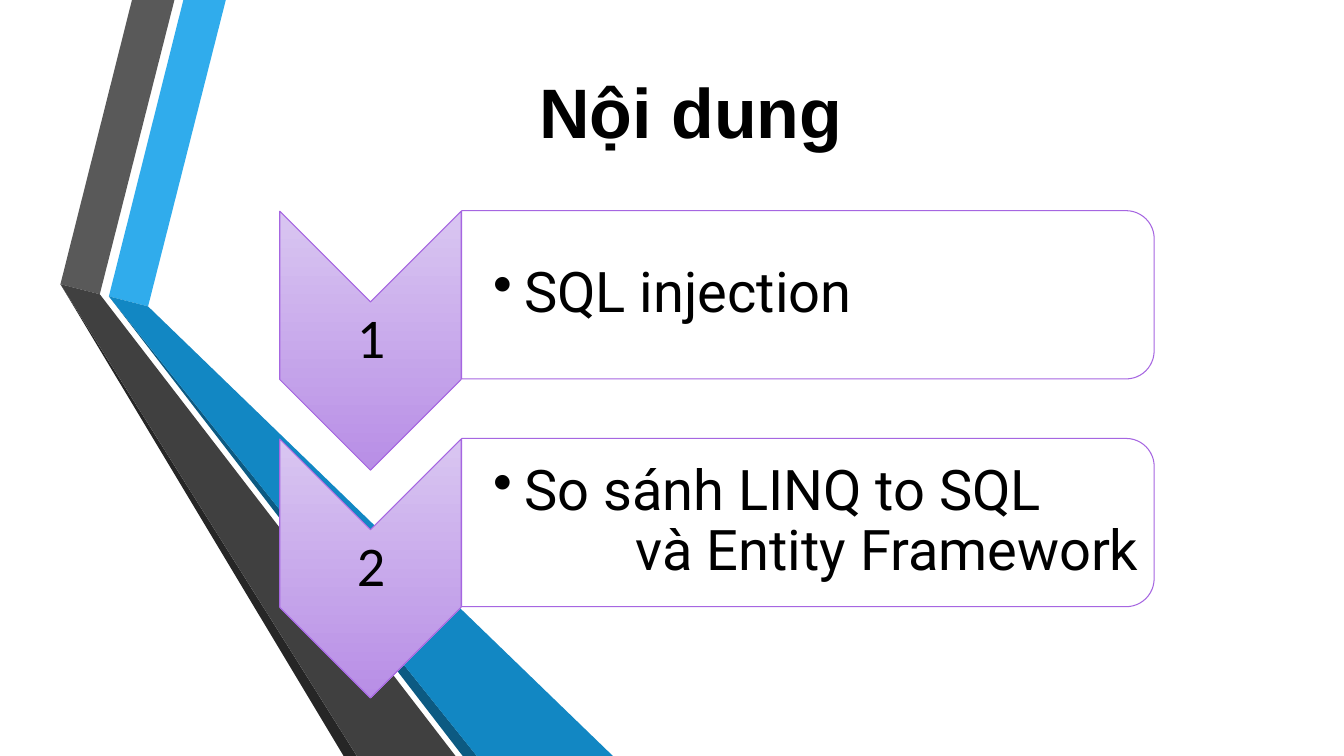
from dataclasses import dataclass

from lxml.etree import SubElement
from pptx import Presentation
from pptx.dml.color import RGBColor
from pptx.enum.shapes import MSO_SHAPE
from pptx.enum.text import MSO_ANCHOR, MSO_AUTO_SIZE, PP_ALIGN
from pptx.oxml.ns import qn
from pptx.util import Pt


@dataclass(frozen=True)
class Theme:
    text: str = "000000"
    card: str = "FFFFFF"
    outline: str = "A666E1"
    chevron_top: str = "D9C6F1"
    chevron_bottom: str = "B88EE6"
    blue_light: str = "30ACEC"
    blue: str = "1287C3"
    blue_dark: str = "0C5A82"
    grey_light: str = "595959"
    grey: str = "404040"
    grey_dark: str = "262626"
    title_size: int = 50
    body_size: int = 40


theme = Theme()


def add_outlined(preset, left, top, width, height):
    """Add a preset shape turned a quarter clockwise, with the common thin line."""
    sp = s.shapes.add_shape(preset, Pt(left), Pt(top), Pt(width), Pt(height))
    sp.rotation = 90
    sp.shadow.inherit = False
    sp.line.color.rgb = RGBColor.from_string(theme.outline)
    sp.line.width = Pt(0.75)
    return sp


def write(p, text, font, size, bold=False):
    r = p.add_run()
    r.text = text
    formats = {"name": font, "size": Pt(size), "bold": bold}
    for name, value in formats.items():
        setattr(r.font, name, value)
    r.font.color.rgb = RGBColor.from_string(theme.text)


prs = Presentation()
prs.slide_width, prs.slide_height = Pt(960), Pt(540)
s = prs.slides.add_slide(prs.slide_layouts[5])

# Ribbons on the left, from back to front
ribbons = [
    (theme.blue_light, [(77.8, 211.7), (105.8, 218.9), (161.3, 0), (131, 0)]),
    (theme.grey_light, [(71.3, 210.2), (124.6, 0), (94.3, 0), (43.2, 203)]),
    (theme.grey_dark, [(43.2, 203), (245.5, 540), (254.9, 540)]),
    (theme.blue_dark, [(77.8, 211.7), (330.5, 540), (340.6, 540)]),
    (theme.blue, [(77.8, 211.7), (340.6, 540), (437.8, 540), (105.8, 218.9)]),
    (theme.grey, [(43.2, 203), (254.9, 540), (325.4, 540), (76.3, 216.7), (71.3, 210.2)]),
]
for color, points in ribbons:
    corners = [(Pt(x), Pt(y)) for x, y in points]
    builder = s.shapes.build_freeform(*corners[0])
    builder.add_line_segments(corners[1:], close=True)
    sp = builder.convert_to_shape()
    sp.shadow.inherit = False
    sp.fill.solid()
    sp.fill.fore_color.rgb = RGBColor.from_string(color)
    sp.line.fill.background()

# Numbered topics; further lines of a topic are indented without a bullet
topics = [["SQL injection"], ["So sánh LINQ to SQL", "và Entity Framework"]]
row_pitch = 162.7
inset = 2.2
bullet_indent = 22.3
next_line_indent = 102

for i, lines in enumerate(topics):
    dy = i * row_pitch

    chevron = add_outlined(MSO_SHAPE.CHEVRON, 172.1, 178.6, 185, 129.6)
    chevron.top += Pt(dy)
    chevron.fill.gradient()
    chevron.fill.gradient_angle = 270
    stops = chevron.fill.gradient_stops
    for stop, color, position in zip(stops, (theme.chevron_top, theme.chevron_bottom), (0, 1)):
        stop.color.rgb = RGBColor.from_string(color)
        stop.position = position
    # The gradient runs down the slide although the shape is turned
    chevron._element.spPr.find(qn("a:gradFill")).set("rotWithShape", "0")

    card = add_outlined(MSO_SHAPE.ROUND_2_SAME_RECTANGLE, 517, -36.7, 120.2, 494.6)
    card.top += Pt(dy)
    card.fill.solid()
    card.fill.fore_color.rgb = RGBColor.from_string(theme.card)
    card_color = card._element.spPr.find(qn("a:solidFill")).find(qn("a:srgbClr"))
    SubElement(card_color, qn("a:alpha")).set("val", "90000")

    number = s.shapes.add_textbox(Pt(200.2), Pt(215.3 + dy), Pt(129.6), Pt(55.4))
    body = s.shapes.add_textbox(Pt(329.8), Pt(156.2 + dy), Pt(488.9), Pt(108.7))
    for box, left_inset in ((number, inset), (body, 22.4)):
        formats = {
            "word_wrap": True,
            "vertical_anchor": MSO_ANCHOR.MIDDLE,
            "margin_left": Pt(left_inset),
            "margin_right": Pt(inset),
            "margin_top": Pt(inset),
            "margin_bottom": Pt(inset),
        }
        for name, value in formats.items():
            setattr(box.text_frame, name, value)

    p = number.text_frame.paragraphs[0]
    p.alignment = PP_ALIGN.CENTER
    p.line_spacing = 0.9
    write(p, str(i + 1), "Calibri", theme.body_size)

    tf = body.text_frame
    for n, line in enumerate(lines):
        p = tf.add_paragraph() if n else tf.paragraphs[0]
        p.line_spacing = 0.9
        p.space_after = Pt(6 if n == len(lines) - 1 else 0)
        write(p, line, "Roboto", theme.body_size)
        pPr = p._p.get_or_add_pPr()
        if n:
            pPr.set("marL", str(Pt(next_line_indent)))
        else:
            pPr.set("marL", str(Pt(bullet_indent)))
            pPr.set("indent", str(-Pt(bullet_indent)))
            SubElement(pPr, qn("a:buChar")).set("char", "•")

title = s.shapes.title
title.left, title.top, title.width, title.height = Pt(378), Pt(41), Pt(246.2), Pt(35.3)
formats = {
    "auto_size": MSO_AUTO_SIZE.NONE,
    "word_wrap": True,
    "vertical_anchor": MSO_ANCHOR.TOP,
    "margin_top": Pt(8),
}
for name, value in formats.items():
    setattr(title.text_frame, name, value)
p = title.text_frame.paragraphs[0]
p.alignment = PP_ALIGN.LEFT
write(p, "Nội dung", "Arial", theme.title_size, bold=True)

prs.save("out.pptx")
